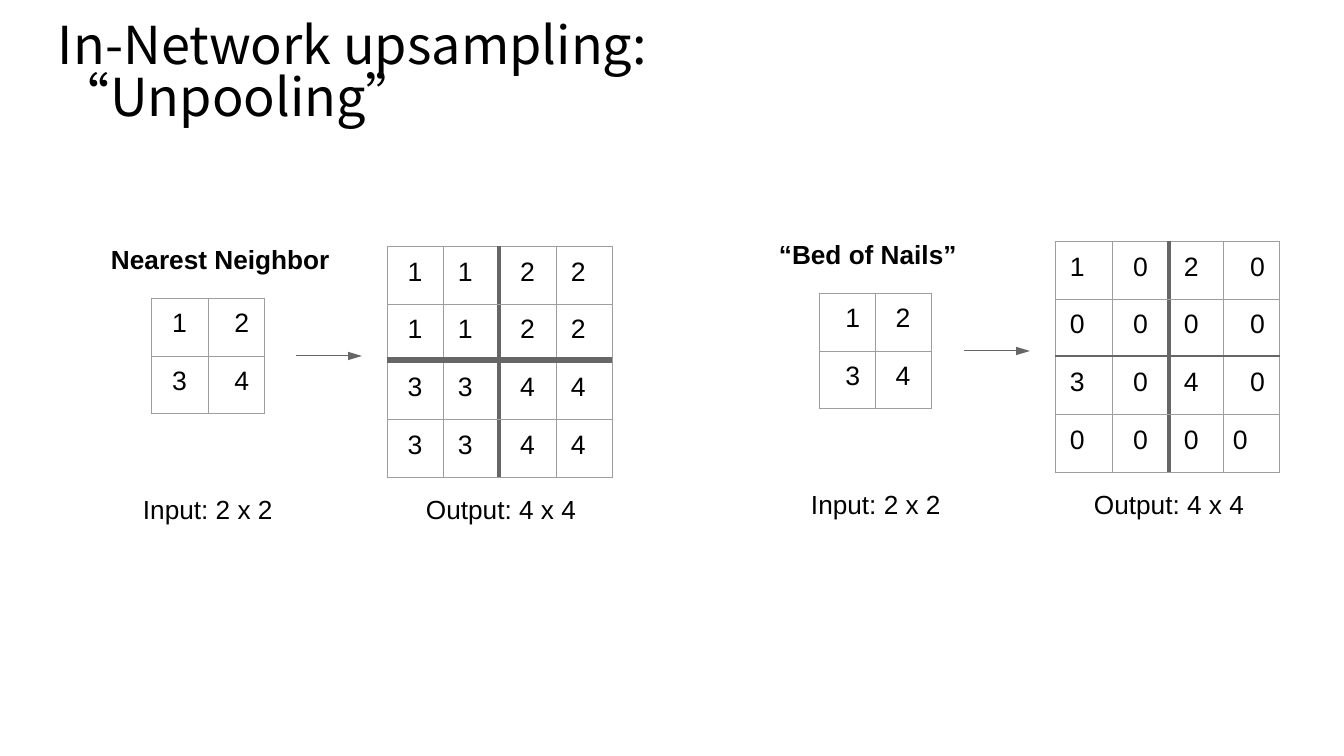
from lxml import etree
from pptx import Presentation
from pptx.dml.color import RGBColor
from pptx.enum.shapes import MSO_CONNECTOR
from pptx.enum.text import MSO_ANCHOR, PP_ALIGN
from pptx.oxml.ns import qn
from pptx.util import Pt

STRAIGHT = MSO_CONNECTOR.STRAIGHT
MIDDLE, TOP = MSO_ANCHOR.MIDDLE, MSO_ANCHOR.TOP
ALIGNMENTS = {"l": PP_ALIGN.LEFT, "c": PP_ALIGN.CENTER, "r": PP_ALIGN.RIGHT}

COLORS = {"text": "000000", "grid": "9E9E9E", "accent": "666666"}
EMU_PER_PX = 12192000 / 1344
ROW_PITCH = 58
GRID_LINE, SEAM_LINE = 0.75, 3
DIGIT_INSET, DIGIT_TOP = 15, 11

PANELS = [
    {
        "box": (109, 239),
        "heading": "Nearest Neighbor",
        "input": {"columns": [57, 56], "rows": [58, 58], "align": "cr",
                  "values": ["12", "34"]},
        "output": {"columns": [56, 56, 57, 56], "rows": [58, 56, 60, 58],
                   "align": "clcl", "seam": 4.5,
                   "values": ["1122", "1122", "3344", "3344"]},
    },
    {
        "box": (777, 234),
        "heading": "“Bed of Nails”",
        "input": {"columns": [56, 56], "rows": [58, 58], "align": "rc",
                  "values": ["12", "34"]},
        "output": {"columns": [57, 57, 55, 56], "rows": [58, 57, 59, 58],
                   "align": "lclr", "seam": 2.25,
                   "values": ["1020", "0000", "3040", "0000"],
                   "overrides": {(3, 3): ("l", 9)}},
    },
]


def px(length):
    return round(length * EMU_PER_PX)


def format_runs(paragraph, size, font_name="Arial", bold=False):
    for run in paragraph.runs:
        run.font.size = Pt(size)
        run.font.name = font_name
        run.font.bold = bold
        run.font.color.rgb = RGBColor.from_string(COLORS["text"])


def add_text(slide, box, text, size, font_name="Arial", bold=False,
             anchor=TOP, wrap=False, inset_top=4):
    shape = slide.shapes.add_textbox(*map(px, box))
    frame = shape.text_frame
    frame.text = text
    frame.word_wrap = wrap
    frame.vertical_anchor = anchor
    frame.margin_left, frame.margin_top = px(2), px(inset_top)
    frame.margin_right = frame.margin_bottom = 0
    format_runs(frame.paragraphs[0], size, font_name, bold)
    return frame.paragraphs[0]


def add_border(cell, side, color, width):
    properties = cell._tc.get_or_add_tcPr()
    line = etree.SubElement(properties, qn(f"a:ln{side}"), w=str(Pt(width)))
    fill = etree.SubElement(line, qn("a:solidFill"))
    etree.SubElement(fill, qn("a:srgbClr"), val=color)


def border_cell(cell, row, column, seam):
    """Outline a cell; with a seam, the lines between quadrants are thicker."""
    grid = (COLORS["grid"], GRID_LINE)
    vertical = (COLORS["accent"], SEAM_LINE) if seam else grid
    horizontal = (COLORS["accent"], seam) if seam else grid
    add_border(cell, "L", *(vertical if column == 2 else grid))
    add_border(cell, "R", *(vertical if column == 1 else grid))
    add_border(cell, "T", *(horizontal if row == 2 else grid))
    add_border(cell, "B", *(horizontal if row == 1 else grid))
    cell.fill.background()


def add_grid(slide, left, top, grid):
    columns, rows = grid["columns"], grid["rows"]
    frame = slide.shapes.add_table(len(rows), len(columns), px(left), px(top),
                                   px(sum(columns)), px(sum(rows)))
    table = frame.table
    table.first_row = table.horz_banding = False
    for index, width in enumerate(columns):
        table.columns[index].width = px(width)

    for row, height in enumerate(rows):
        table.rows[row].height = px(height)
        # Digits keep an even pitch although row heights differ
        drift = row * ROW_PITCH - sum(rows[:row])
        for column, value in enumerate(grid["values"][row]):
            align, inset = grid.get("overrides", {}).get(
                (row, column), (grid["align"][column], DIGIT_INSET))
            cell = table.cell(row, column)
            border_cell(cell, row, column, grid.get("seam"))
            cell.text = value
            cell.vertical_anchor = TOP
            cell.margin_left = px(inset) if align == "l" else 0
            cell.margin_right = px(inset) if align == "r" else 0
            cell.margin_top, cell.margin_bottom = px(DIGIT_TOP + drift), 0
            paragraph = cell.text_frame.paragraphs[0]
            paragraph.alignment = ALIGNMENTS[align]
            format_runs(paragraph, 19)


def add_arrow(slide, left, top, length):
    arrow = slide.shapes.add_connector(STRAIGHT, px(left), px(top),
                                       px(left + length), px(top))
    arrow.line.color.rgb = RGBColor.from_string(COLORS["accent"])
    arrow.line.width = Pt(GRID_LINE)
    etree.SubElement(arrow.line._get_or_add_ln(), qn("a:tailEnd"),
                     type="triangle", w="med", len="lg")
    etree.SubElement(arrow._element.spPr, qn("a:effectLst"))


def add_title(slide, box):
    paragraph = add_text(slide, box, "In-Network upsampling: “Unpooling”", 37.3,
                         "Noto Sans CJK SC", anchor=MIDDLE, wrap=True,
                         inset_top=2)
    paragraph.line_spacing = 0.83


def add_panel(slide, panel):
    left, top = panel["box"]
    # Heading
    add_text(slide, (left, top, 222, 33), panel["heading"], 18.7, bold=True)
    # Input, arrow and output
    add_grid(slide, left + 42, top + 59, panel["input"])
    add_arrow(slide, left + 187, top + 117, 66)
    add_grid(slide, left + 278, top + 7, panel["output"])
    # Captions
    add_text(slide, (left + 32, top + 250, 133, 33), "Input: 2 x 2", 18.7)
    add_text(slide, (left + 315, top + 250, 153, 33), "Output: 4 x 4", 18.7)


def main():
    presentation = Presentation()
    presentation.slide_width, presentation.slide_height = px(1344), px(756)
    slide = presentation.slides.add_slide(presentation.slide_layouts[6])
    add_title(slide, (56, 41, 837, 66))
    for panel in PANELS:
        add_panel(slide, panel)
    presentation.save("out.pptx")


if __name__ == "__main__":
    main()
